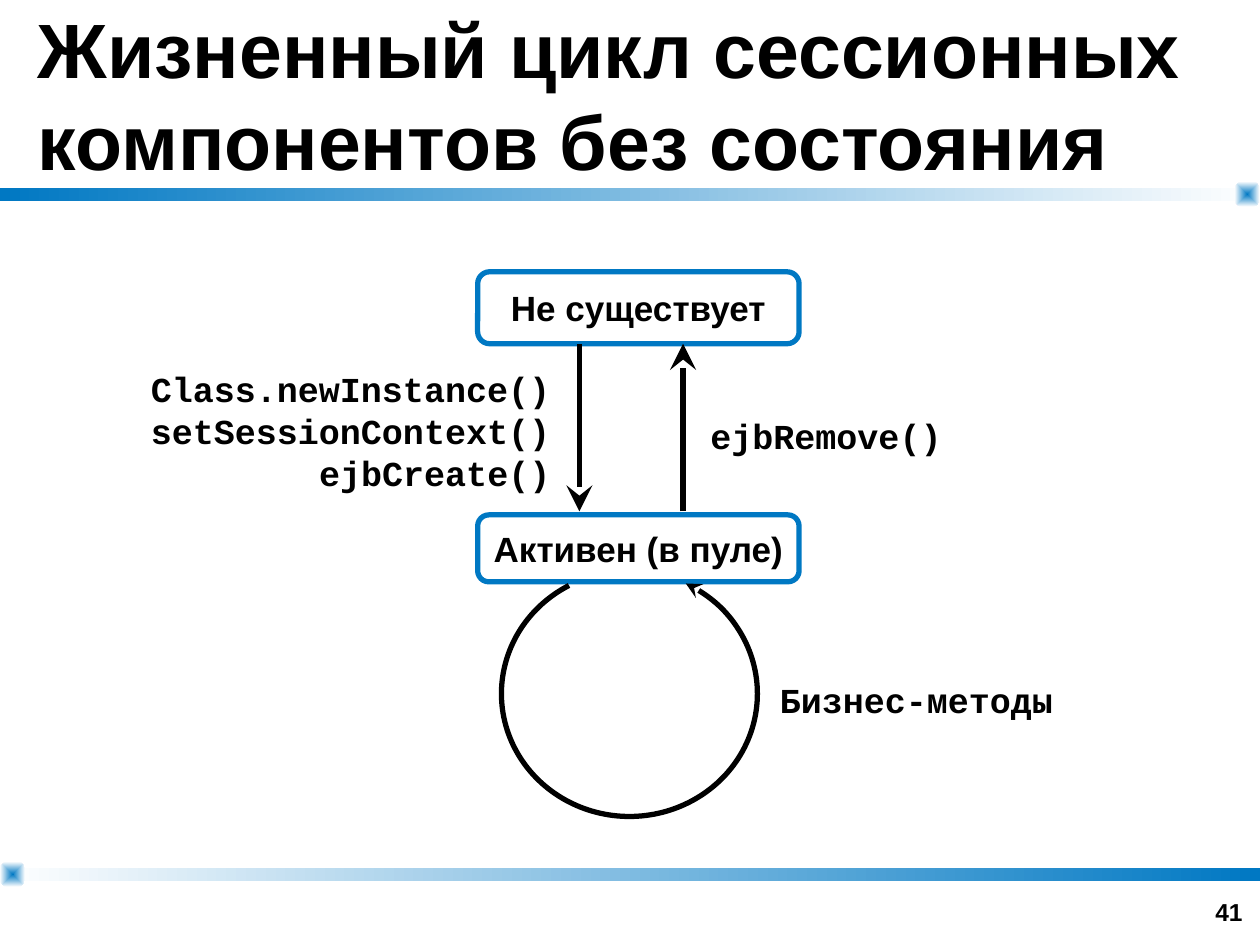
"""Draw the life cycle of stateless session components."""
from lxml import etree
from pptx import Presentation
from pptx import util as u
from pptx.dml.color import RGBColor
from pptx.enum import shapes, text
from pptx.oxml import ns

BLUE = RGBColor(0x00, 0x78, 0xC3)
WHITE = RGBColor(0xFF, 0xFF, 0xFF)
BLACK = RGBColor(0x00, 0x00, 0x00)
SANS, MONO = "Arial", "Courier New"
KIND, ALIGN = shapes.MSO_SHAPE, text.PP_ALIGN
MID, LOW = text.MSO_ANCHOR.MIDDLE, text.MSO_ANCHOR.BOTTOM


def write(frame, words, size=20, font=SANS, align=ALIGN.LEFT,
          anchor=text.MSO_ANCHOR.TOP, wrap=True, grow=False):
    frame.word_wrap = wrap
    frame.vertical_anchor = anchor
    fit = text.MSO_AUTO_SIZE
    frame.auto_size = fit.SHAPE_TO_FIT_TEXT if grow else fit.NONE
    frame.text = words
    for para in frame.paragraphs:
        para.alignment = align
        face = para.runs[0].font
        face.name, face.size, face.bold = font, u.Pt(size), True
        face.color.rgb = BLACK


class Page:
    def __init__(self, slide, width=3):
        self.slide = slide
        self.width = u.Pt(width)

    def shape(self, kind, place):
        item = self.slide.shapes.add_shape(kind, *map(u.Cm, place))
        item.shadow.inherit = False
        return item

    def stroke(self, item, color):
        item.line.color.rgb = color
        item.line.width = self.width

    def tip(self, item, end, size):
        etree.SubElement(item.line._get_or_add_ln(), ns.qn(f"a:{end}"),
                         type="stealth", w=size, len=size)

    def fade(self, kind, place, first, last):
        item = self.shape(kind, place)
        item.line.fill.background()
        item.fill.gradient()
        item.fill.gradient_angle = 0
        for stop, color in zip(item.fill.gradient_stops, (first, last)):
            stop.color.rgb = color
        return item

    def bar(self, top, first, last):
        self.fade(KIND.RECTANGLE, (0, top, 25.4, 0.26), first, last)

    def gem(self, left, top):
        item = self.fade(KIND.ROUNDED_RECTANGLE, (left, top, 0.51, 0.51), BLUE, WHITE)
        item.adjustments[0] = 0.32
        lin = next(item.element.iter(ns.qn("a:lin")))
        glow = etree.Element(ns.qn("a:path"), path="shape")
        etree.SubElement(glow, ns.qn("a:fillToRect"),
                         dict.fromkeys("ltrb", "50000"))
        lin.getparent().replace(lin, glow)

    def label(self, words, place, **form):
        item = self.slide.shapes.add_textbox(*map(u.Cm, place))
        write(item.text_frame, words, **form)

    def state(self, words, top, height):
        item = self.shape(KIND.ROUNDED_RECTANGLE, (9.63, top, 6.48, height))
        item.fill.background()
        self.stroke(item, BLUE)
        write(item.text_frame, words, align=ALIGN.CENTER, anchor=MID, wrap=False)

    def arrow(self, across, start, end):
        item = self.slide.shapes.add_connector(
            shapes.MSO_CONNECTOR.STRAIGHT, *map(u.Cm, (across, start, across, end)))
        self.stroke(item, BLACK)
        self.tip(item, "tailEnd", "lg")
        etree.SubElement(item.element.spPr, ns.qn("a:effectLst"))

    def loop(self, place, start, end):
        item = self.shape(KIND.ARC, place)
        item.adjustments[0], item.adjustments[1] = start * 0.6, end * 0.6
        item.fill.background()
        self.stroke(item, BLACK)
        self.tip(item, "headEnd", "med")


def main():
    deck = Presentation()
    deck.slide_width, deck.slide_height = u.Cm(25.4), u.Cm(19.05)
    page = Page(deck.slides.add_slide(deck.slide_layouts[6]))

    page.bar(3.79, BLUE, WHITE)
    page.bar(17.5, WHITE, BLUE)
    page.gem(24.89, 3.66)
    page.gem(0, 17.37)
    page.label("Жизненный цикл сессионных компонентов без состояния",
               (0.51, 0, 24.38, 3.78), size=44, anchor=MID)
    page.label("41", (19.38, 17.53, 5.92, 1.27), size=14,
               align=ALIGN.RIGHT, anchor=LOW)

    page.state("Не существует", 5.48, 1.45)
    page.state("Активен (в пуле)", 10.38, 1.35)
    page.arrow(11.68, 6.93, 10.31)
    page.arrow(13.77, 10.31, 6.93)
    page.loop((10.11, 11.51, 5.16, 4.95), 297.09, 240.81)

    page.label("Class.newInstance()\nsetSessionContext()\nejbCreate()",
               (2.36, 7.29, 8.99, 2.82), font=MONO, align=ALIGN.RIGHT, grow=True)
    page.label("ejbRemove()", (14.07, 8.23, 5.3, 1.09),
               font=MONO, wrap=False, grow=True)
    page.label("Бизнес-методы", (15.47, 13.56, 6.1, 1.12),
               font=MONO, wrap=False, grow=True)
    deck.save("out.pptx")


if __name__ == "__main__":
    main()
